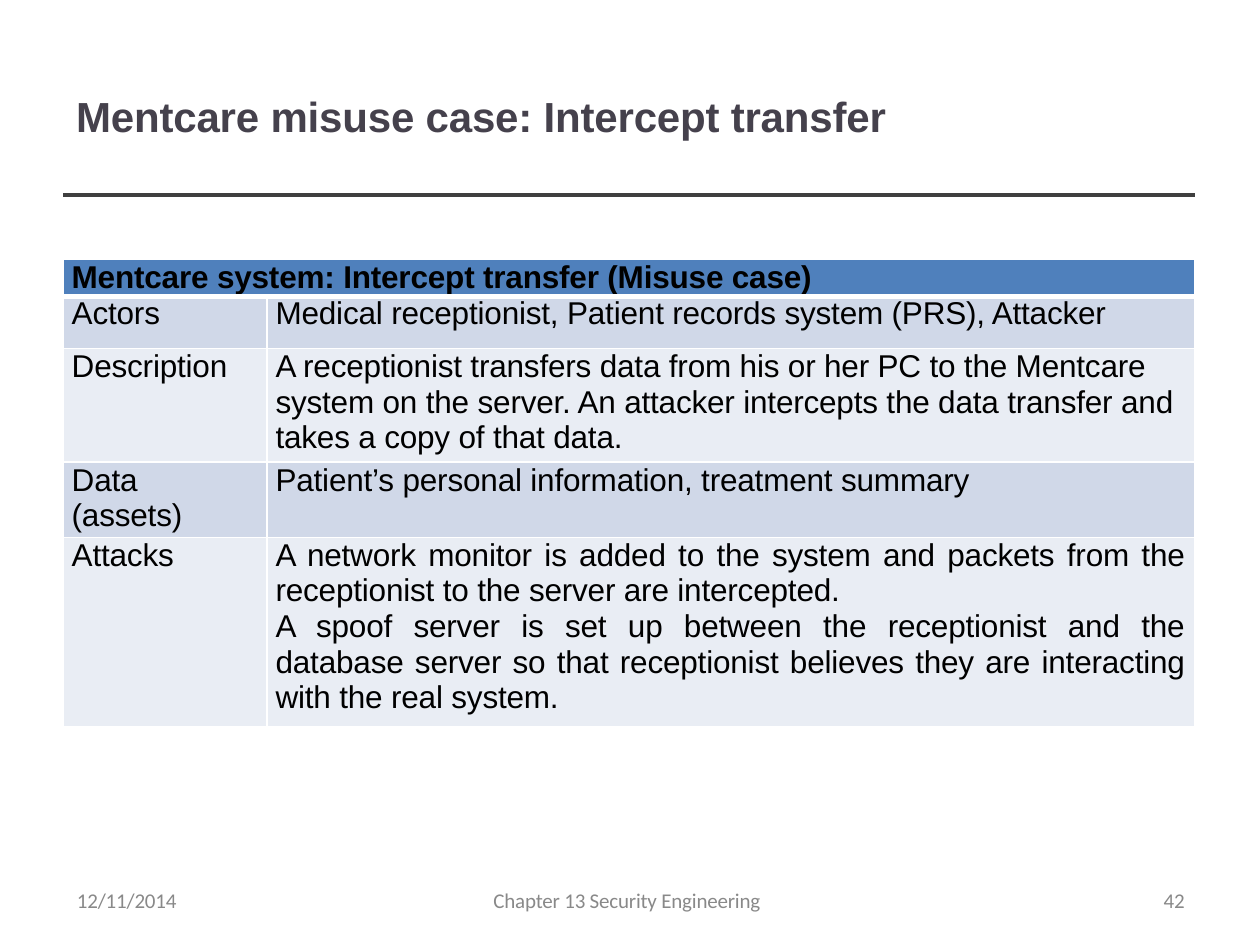
from lxml.etree import SubElement
from pptx import Presentation
from pptx.dml.color import RGBColor
from pptx.enum.shapes import MSO_CONNECTOR
from pptx.enum.text import MSO_ANCHOR, MSO_AUTO_SIZE, PP_ALIGN
from pptx.oxml.ns import qn
from pptx.util import Pt

TITLE = "Mentcare misuse case: Intercept transfer"
HEADING = "Mentcare system: Intercept transfer (Misuse case)"
# label paragraphs, detail paragraphs, row height, line pitch, alignment
CASE_ROWS = [
    (["Actors"],
     ["Medical receptionist, Patient records system (PRS), Attacker"],
     29.5, 19.6, PP_ALIGN.LEFT),
    (["Description"],
     ["A receptionist transfers data from his or her PC to the Mentcare "
      "system on the server. An attacker intercepts the data transfer and "
      "takes a copy of that data."],
     65, 20.4, PP_ALIGN.LEFT),
    (["Data", "(assets)"],
     ["Patient’s personal information, treatment summary"],
     43, 20.4, PP_ALIGN.LEFT),
    (["Attacks"],
     ["A network monitor is added to the system and packets from the "
      "receptionist to the server are intercepted.",
      "A spoof server is set up between the receptionist and the database "
      "server so that receptionist believes they are interacting with the "
      "real system."],
     108, 20.4, PP_ALIGN.JUSTIFY),
]
# text, left, width
FOOTERS = [
    ("12/11/2014", 43, 60),
    ("Chapter 13 Security Engineering", 281, 158),
    ("42", 664, 16),
]
RULE_ENDS = [611, 683]

LEFT = 36
RULE_Y = 111.6
TABLE_TOP = 148
HEADING_HEIGHT = 21.6
COLUMN_WIDTHS = [116.5, 530.5]
HEADING_FILL = "4F80BC"
BAND_FILLS = ["D0D8E8", "E9EDF4"]


def color(hex_value):
    return RGBColor.from_string(hex_value)


def write(frame, paragraphs, size=18, font="Arial", ink="000000", bold=False,
          pitch=None, align=PP_ALIGN.LEFT):
    for index, text in enumerate(paragraphs):
        paragraph = frame.paragraphs[0] if index == 0 else frame.add_paragraph()
        paragraph.alignment = align
        if pitch:
            paragraph.line_spacing = Pt(pitch)
        run = paragraph.add_run()
        run.text = text
        run.font.size, run.font.name, run.font.bold = Pt(size), font, bold
        run.font.color.rgb = color(ink)
        run._r.get_or_add_rPr().set("spc", "-10")


def set_margins(box, left=0, top=0, right=0, bottom=0):
    box.margin_left, box.margin_top = Pt(left), Pt(top)
    box.margin_right, box.margin_bottom = Pt(right), Pt(bottom)


def style_cell(cell, fill, top=1, bottom=1):
    """Give the cell white borders, a fill and side margins."""
    properties = cell._tc.get_or_add_tcPr()
    for side, width in (("L", 1), ("R", 1), ("T", top), ("B", bottom)):
        border = SubElement(properties, qn(f"a:ln{side}"), w=str(Pt(width)))
        solid = SubElement(border, qn("a:solidFill"))
        SubElement(solid, qn("a:srgbClr"), val="FFFFFF")
    cell.fill.solid()
    cell.fill.fore_color.rgb = color(fill)
    set_margins(cell, left=5, right=6)


def add_rules(slide):
    for end in RULE_ENDS:
        rule = slide.shapes.add_connector(
            MSO_CONNECTOR.STRAIGHT, Pt(LEFT), Pt(RULE_Y), Pt(end), Pt(RULE_Y))
        rule.line.color.rgb = color("3F3F3F")
        rule.line.width = Pt(2.16)
        SubElement(rule._element.spPr, qn("a:effectLst"))


def add_title(slide):
    title = slide.shapes.title
    title.left, title.top, title.width, title.height = (
        Pt(42.5), Pt(37.5), Pt(636), Pt(58))
    frame = title.text_frame
    frame.auto_size = MSO_AUTO_SIZE.NONE
    frame.vertical_anchor = MSO_ANCHOR.TOP
    set_margins(frame, left=1, top=14.4)
    write(frame, [TITLE], size=24, ink="45414C", bold=True)


def add_case_table(slide):
    heights = [HEADING_HEIGHT] + [row[2] for row in CASE_ROWS]
    table = slide.shapes.add_table(
        len(heights), 2, Pt(LEFT), Pt(TABLE_TOP),
        Pt(sum(COLUMN_WIDTHS)), Pt(sum(heights))).table
    table.first_row = table.horz_banding = False
    for column, width in zip(table.columns, COLUMN_WIDTHS):
        column.width = Pt(width)
    for row, height in zip(table.rows, heights):
        row.height = Pt(height)

    heading = table.cell(0, 0)
    heading.merge(table.cell(0, 1))
    for cell in table.rows[0].cells:
        style_cell(cell, HEADING_FILL, bottom=3)
    write(heading.text_frame, [HEADING], bold=True, pitch=20.6)

    for index, (label, detail, _, pitch, align) in enumerate(CASE_ROWS):
        cells = table.rows[index + 1].cells
        for cell, paragraphs, alignment in zip(
                cells, (label, detail), (PP_ALIGN.LEFT, align)):
            style_cell(cell, BAND_FILLS[index % 2], top=3 if index == 0 else 1)
            write(cell.text_frame, paragraphs, pitch=pitch, align=alignment)


def add_footers(slide):
    for text, left, width in FOOTERS:
        frame = slide.shapes.add_textbox(
            Pt(left), Pt(509), Pt(width), Pt(14)).text_frame
        set_margins(frame, left=1)
        write(frame, [text], size=12, font="Calibri", ink="898989", pitch=12.4)


def main():
    deck = Presentation()
    deck.slide_width, deck.slide_height = Pt(720), Pt(540)
    slide = deck.slides.add_slide(deck.slide_layouts[5])
    add_rules(slide)
    add_title(slide)
    add_footers(slide)
    add_case_table(slide)
    deck.save("out.pptx")


if __name__ == "__main__":
    main()
